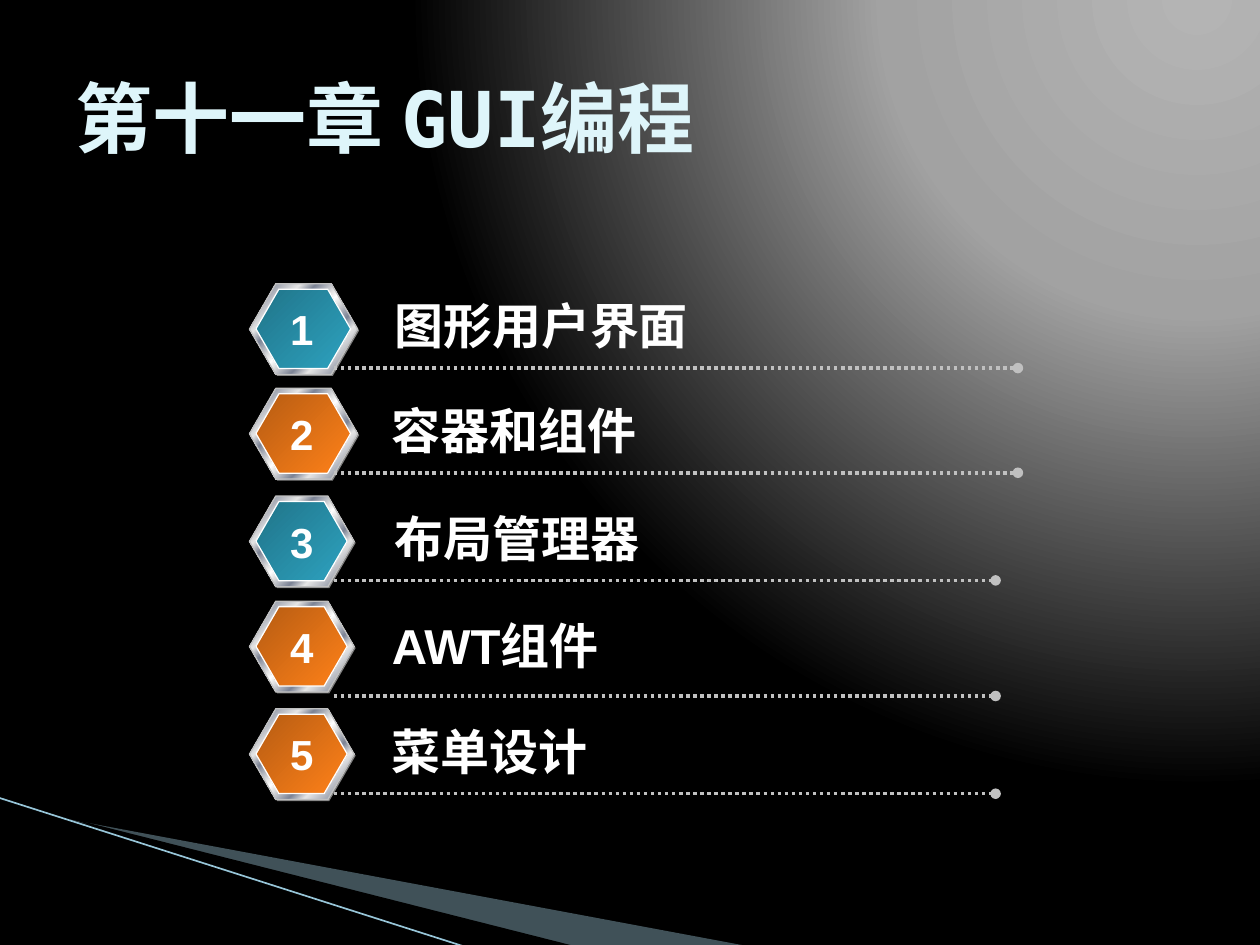
from lxml import etree
from pptx import Presentation
from pptx import util as u
from pptx.dml.color import RGBColor
from pptx.enum import dml, shapes, text
from pptx.oxml import parse_xml
from pptx.oxml.ns import nsdecls, qn

WHITE = RGBColor(0xFF, 0xFF, 0xFF)
BLACK = RGBColor(0x00, 0x00, 0x00)
GREY = RGBColor(0x80, 0x80, 0x80)
SILVER = RGBColor(0xC0, 0xC0, 0xC0)
ICE = RGBColor(0xDE, 0xF5, 0xFA)
MIST = RGBColor(0xA0, 0xCB, 0xDC)
SKY = RGBColor(0x97, 0xC5, 0xD8)
LIGHT = RGBColor(0xE6, 0xE6, 0xE6)
STEEL = RGBColor(0x7D, 0x84, 0x96)
TEAL = [(0, RGBColor(0x20, 0x74, 0x89)), (100, RGBColor(0x2D, 0xA2, 0xBF))]
ORANGE = [(0, RGBColor(0xB6, 0x5C, 0x12)), (100, RGBColor(0xFF, 0x81, 0x19))]
CHROME = [(0, LIGHT), (8, STEEL), (26, LIGHT), (34, STEEL), (46, LIGHT), (50, WHITE),
          (54, LIGHT), (66, STEEL), (74, LIGHT), (93, STEEL), (100, LIGHT)]
BACKDROP = [(0, RGBColor(0xB4, 0xB4, 0xB4)), (40, RGBColor(0xA2, 0xA2, 0xA2)), (100, BLACK)]
DIAGONAL = '<a:lin ang="2700000" scaled="1"/>'
SPOTLIGHT = ('<a:path path="circle"><a:fillToRect l="95000" t="-106000" '
             'r="5000" b="206000"/></a:path>')


class Deck:
    """Hold the style and the current slide, and draw each kind of element."""

    title = {"name": "DejaVu Sans Mono", "size": u.Pt(44), "bold": True}
    label = {"name": "Arial", "size": u.Pt(28), "bold": True}
    number = {"name": "Arial", "size": u.Pt(24), "bold": True}

    def __init__(self):
        self.prs = Presentation()
        self.prs.slide_width, self.prs.slide_height = u.Cm(25.4), u.Cm(19.05)
        self.s = self.prs.slides.add_slide(self.prs.slide_layouts[5])

    def gradient(self, fill, parent, stops, direction):
        fill.gradient()
        old = parent.find(qn("a:gradFill"))
        marks = "".join(f'<a:gs pos="{pos * 1000}"><a:srgbClr val="{color}"/></a:gs>'
                        for pos, color in stops)
        parent.replace(old, parse_xml(f'<a:gradFill {nsdecls("a")} rotWithShape="1">'
                                      f'<a:gsLst>{marks}</a:gsLst>{direction}</a:gradFill>'))

    def backdrop(self, stops):
        fill = self.s.background.fill
        fill.solid()
        bg = self.s.element.cSld.find(qn("p:bg"))
        self.gradient(fill, bg.find(qn("p:bgPr")), stops, SPOTLIGHT)

    def add_words(self, tf, words, style, color, align):
        p = tf.paragraphs[0]
        p.alignment = align
        r = p.add_run()
        r.text = words
        for key, value in style.items():
            setattr(r.font, key, value)
        r.font.color.rgb = color

    def heading(self, words, box):
        sp = self.s.shapes.title
        sp.left, sp.top, sp.width, sp.height = map(u.Cm, box)
        sp.text_frame.vertical_anchor = text.MSO_ANCHOR.MIDDLE
        self.add_words(sp.text_frame, words, self.title, ICE, text.PP_ALIGN.LEFT)

    def textbox(self, words, box, style, align=text.PP_ALIGN.LEFT, wrap=True):
        tf = self.s.shapes.add_textbox(*map(u.Cm, box)).text_frame
        tf.word_wrap = wrap
        tf.auto_size = text.MSO_AUTO_SIZE.SHAPE_TO_FIT_TEXT
        self.add_words(tf, words, style, WHITE, align)

    def wedge(self, points, color, alpha=100):
        start, *rest = [(u.Cm(x), u.Cm(y)) for x, y in points]
        builder = self.s.shapes.build_freeform(*start)
        builder.add_line_segments(rest, close=True)
        sp = builder.convert_to_shape()
        sp.shadow.inherit = False
        sp.fill.solid()
        sp.fill.fore_color.rgb = color
        sp.line.fill.background()
        if alpha < 100:
            clr = sp.element.spPr.find(qn("a:solidFill"))[0]
            etree.SubElement(clr, qn("a:alpha"), val=str(alpha * 1000))

    def hexagon(self, group, box, fill, line=None):
        sp = group.shapes.add_shape(shapes.MSO_SHAPE.HEXAGON, *map(u.Cm, box))
        sp.adjustments[0] = 0.29
        sp.shadow.inherit = False
        if isinstance(fill, list):
            self.gradient(sp.fill, sp.element.spPr, fill, DIAGONAL)
        else:
            sp.fill.solid()
            sp.fill.fore_color.rgb = fill
        if line is None:
            sp.line.fill.background()
        else:
            sp.line.color.rgb = line
            sp.line.width = u.Pt(0.75)

    def badge(self, top, width, fill):
        group = self.s.shapes.add_group_shape()
        self.hexagon(group, (5.06, top + 0.03, width, 1.83), GREY)
        self.hexagon(group, (5.03, top, width, 1.83), CHROME, SILVER)
        self.hexagon(group, (5.16, top + 0.11, width - 0.27, 1.6), fill, WHITE)

    def line(self, start, end, color, width, dotted=False):
        sp = self.s.shapes.add_connector(shapes.MSO_CONNECTOR.STRAIGHT,
                                         *map(u.Cm, start + end))
        sp.line.color.rgb = color
        sp.line.width = u.Pt(width)
        if dotted:
            sp.line.dash_style = dml.MSO_LINE.ROUND_DOT
            ln = sp.element.spPr.find(qn("a:ln"))
            etree.SubElement(ln, qn("a:tailEnd"), type="oval")
        etree.SubElement(sp.element.spPr, qn("a:effectLst"))


def main():
    deck = Deck()
    deck.backdrop(BACKDROP)
    deck.wedge([(1.4, 16.52), (15.11, 19.08), (11.58, 19.08)], MIST, 40)
    deck.wedge([(1.35, 16.48), (11.61, 19.08), (9.45, 19.1)], BLACK)
    deck.line((-0.03, 16.08), (9.42, 19.1), SKY, 0.95)
    deck.heading("第十一章 GUI编程", (1.27, 0.76, 22.86, 3.18))

    wide, narrow = (2.18, 20.52), (2.11, 20.07)
    chapters = [
        ("图形用户界面", 5.72, 7.7, 5.84, 7.42, wide, TEAL),
        ("容器和组件", 7.83, 7.65, 7.95, 9.53, wide, ORANGE),
        ("布局管理器", 10, 7.7, 10.13, 11.7, narrow, TEAL),
        ("AWT组件", 12.12, 7.65, 12.29, 14.03, narrow, ORANGE),
        ("菜单设计", 14.29, 7.65, 14.43, 16, narrow, ORANGE),
    ]
    for i, (name, top, left, label_top, rule, (width, end), fill) in enumerate(chapters, 1):
        deck.badge(top, width, fill)
        deck.line((6.73, rule), (end, rule), SILVER, 2, dotted=True)
        deck.textbox(name, (left, label_top, 10.5, 1.45), deck.label)
        deck.textbox(str(i), (5.59, top + 0.28, 0.99, 1.27), deck.number,
                     text.PP_ALIGN.CENTER, wrap=False)
    deck.prs.save("out.pptx")


if __name__ == "__main__":
    main()
